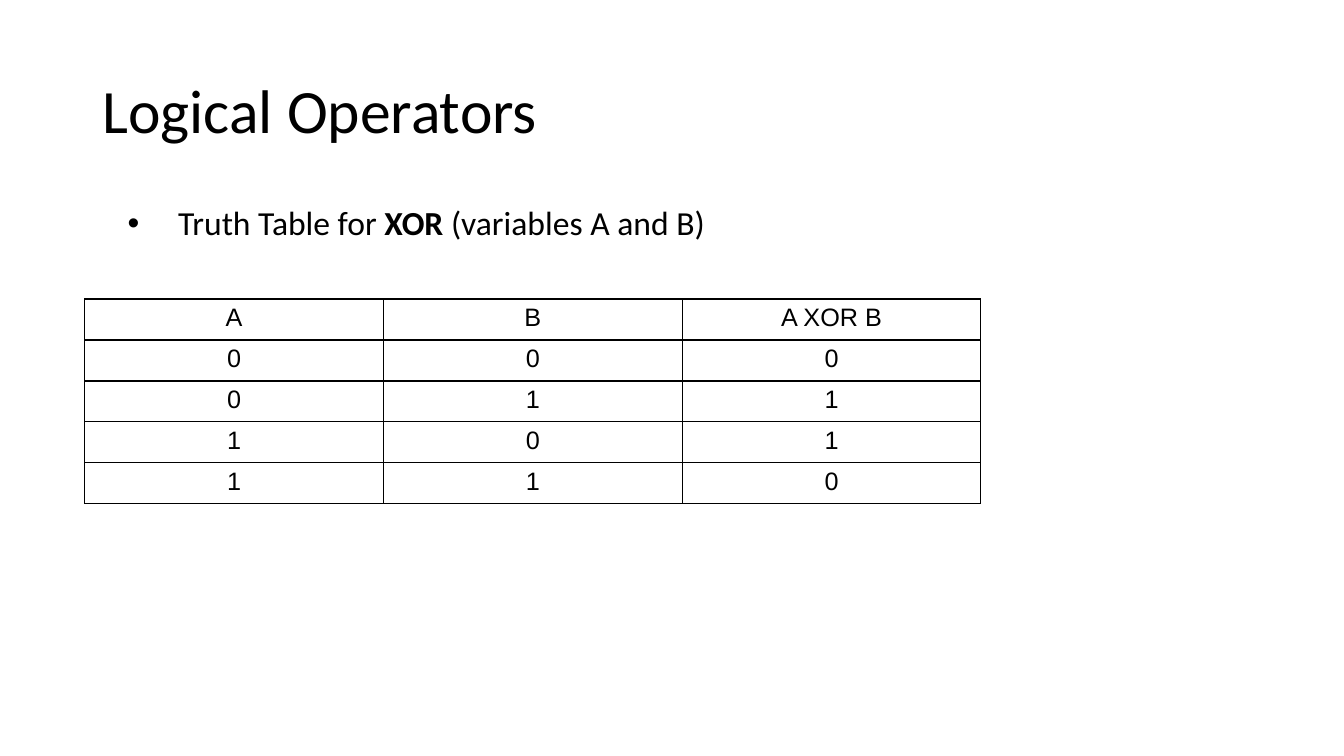
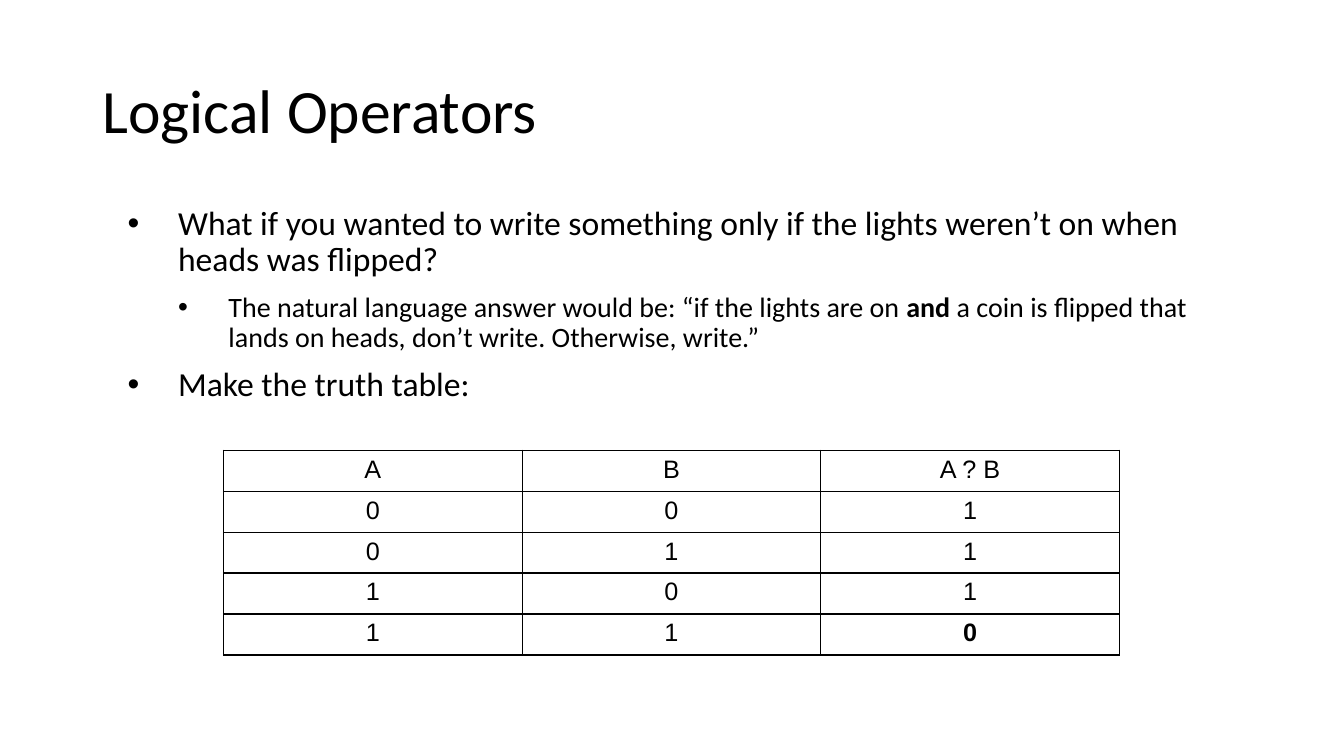
import dataclasses
import typing

import lxml.etree
import pptx
import pptx.dml.color
import pptx.enum.text
import pptx.oxml.ns
import pptx.util

WIDTH, HEIGHT = 13.33, 7.5
COLUMNS, ROWS = 160, 90
BLACK = "000000"
TITLE_FONT, TABLE_FONT = "Calibri", "Arial"
LIST_SIZES = (24, 20)
BULLET_INDENT = 6
TABLE_COLUMN, TABLE_ROW = 35.56, 4.88
TITLE = "Logical Operators"
INPUTS = ((0, 0), (0, 1), (1, 0), (1, 1))


@dataclasses.dataclass(frozen=True)
class Box:
    column: float
    row: float
    columns: float
    rows: float


@dataclasses.dataclass(frozen=True)
class Run:
    text: str
    bold: bool = False


@dataclasses.dataclass(frozen=True)
class Bullet:
    runs: tuple[Run, ...]
    level: int = 0


@dataclasses.dataclass(frozen=True)
class TruthTable:
    column: float
    row: float
    operation: str
    results: tuple[Run, ...]


@dataclasses.dataclass(frozen=True)
class Page:
    bullets: tuple[Bullet, ...]
    table: TruthTable


TITLE_BOX = Box(11, 4.8, 138, 17.4)
BODY_BOX = Box(11, 24, 138, 57.1)

PAGES = (
    Page(
        (Bullet((Run("Truth Table for "), Run("XOR ", True), Run("(variables A and B)"))),),
        TruthTable(10.1, 35.6, "A XOR B", (Run("0"), Run("1"), Run("1"), Run("0"))),
    ),
    Page(
        (
            Bullet((Run("What if you wanted to write something only if the lights "
                        "weren’t on when heads was flipped?"),)),
            Bullet((Run("The natural language answer would be: “if the lights are on "),
                    Run("and ", True),
                    Run("a coin is flipped that lands on heads, don’t write. "
                        "Otherwise, write.”")), level=1),
            Bullet((Run("Make the truth table:"),)),
        ),
        TruthTable(26.6, 53.6, "A ? B", (Run("1"), Run("1"), Run("1"), Run("0", True))),
    ),
)


def across(columns: float) -> int:
    return pptx.util.Inches(WIDTH * columns / COLUMNS)


def down(rows: float) -> int:
    return pptx.util.Inches(HEIGHT * rows / ROWS)


def color(value: str) -> pptx.dml.color.RGBColor:
    return pptx.dml.color.RGBColor.from_string(value)


def add_child(parent: typing.Any, tag: str, **attributes: str) -> typing.Any:
    return lxml.etree.SubElement(parent, pptx.oxml.ns.qn(tag), attributes)


def add_text(p: typing.Any, text: str, *, size: float, font: str = TITLE_FONT,
             bold: bool = False, fill: str = BLACK) -> None:
    r = p.add_run()
    r.text = text
    r.font.size = pptx.util.Pt(size)
    r.font.name = font
    r.font.bold = bold
    r.font.color.rgb = color(fill)


def place(sp: typing.Any, box: Box) -> typing.Any:
    sp.left, sp.top = across(box.column), down(box.row)
    sp.width, sp.height = across(box.columns), down(box.rows)
    tf = sp.text_frame
    tf.word_wrap = True
    tf.auto_size = pptx.enum.text.MSO_AUTO_SIZE.NONE
    return tf


def draw_title(s: typing.Any) -> None:
    tf = place(s.shapes.title, TITLE_BOX)
    tf.vertical_anchor = pptx.enum.text.MSO_ANCHOR.MIDDLE
    p = tf.paragraphs[0]
    p.alignment = pptx.enum.text.PP_ALIGN.LEFT
    p.line_spacing = 0.9
    add_text(p, TITLE, size=44)


def draw_bullets(s: typing.Any, bullets: tuple[Bullet, ...]) -> None:
    tf = place(s.placeholders[1], BODY_BOX)
    for i, bullet in enumerate(bullets):
        p = tf.add_paragraph() if i else tf.paragraphs[0]
        p.level = bullet.level
        p.line_spacing = 0.9
        p.space_before = pptx.util.Pt(10)
        pPr = p._p.get_or_add_pPr()
        pPr.set("marL", str(across(9 + BULLET_INDENT * bullet.level)))
        pPr.set("indent", str(-across(BULLET_INDENT)))
        add_child(pPr, "a:buFont", typeface="Arial")
        add_child(pPr, "a:buChar", char="•")
        for run in bullet.runs:
            add_text(p, run.text, size=LIST_SIZES[bullet.level], bold=run.bold)


def draw_borders(cell: typing.Any) -> None:
    tcPr = cell._tc.get_or_add_tcPr()
    for side in ("L", "R", "T", "B"):
        ln = add_child(tcPr, f"a:ln{side}", w=str(pptx.util.Pt(1)))
        add_child(add_child(ln, "a:solidFill"), "a:srgbClr", val=BLACK)


def draw_table(s: typing.Any, truth: TruthTable) -> None:
    header = (Run("A"), Run("B"), Run(truth.operation))
    rows = [header] + [
        (Run(str(a)), Run(str(b)), result)
        for (a, b), result in zip(INPUTS, truth.results)
    ]
    table = s.shapes.add_table(
        len(rows), len(header), across(truth.column), down(truth.row),
        across(TABLE_COLUMN * len(header)), down(TABLE_ROW * len(rows)),
    ).table
    table.first_row = table.horz_banding = False
    for i, row in enumerate(rows):
        for j, run in enumerate(row):
            cell = table.cell(i, j)
            draw_borders(cell)
            cell.fill.background()
            p = cell.text_frame.paragraphs[0]
            p.alignment = pptx.enum.text.PP_ALIGN.CENTER
            add_text(p, run.text, size=18, font=TABLE_FONT, bold=run.bold)


def main() -> None:
    prs = pptx.Presentation()
    prs.slide_width = pptx.util.Inches(WIDTH)
    prs.slide_height = pptx.util.Inches(HEIGHT)
    for page in PAGES:
        s = prs.slides.add_slide(prs.slide_layouts[1])
        draw_title(s)
        draw_bullets(s, page.bullets)
        draw_table(s, page.table)
    prs.save("out.pptx")


main()
